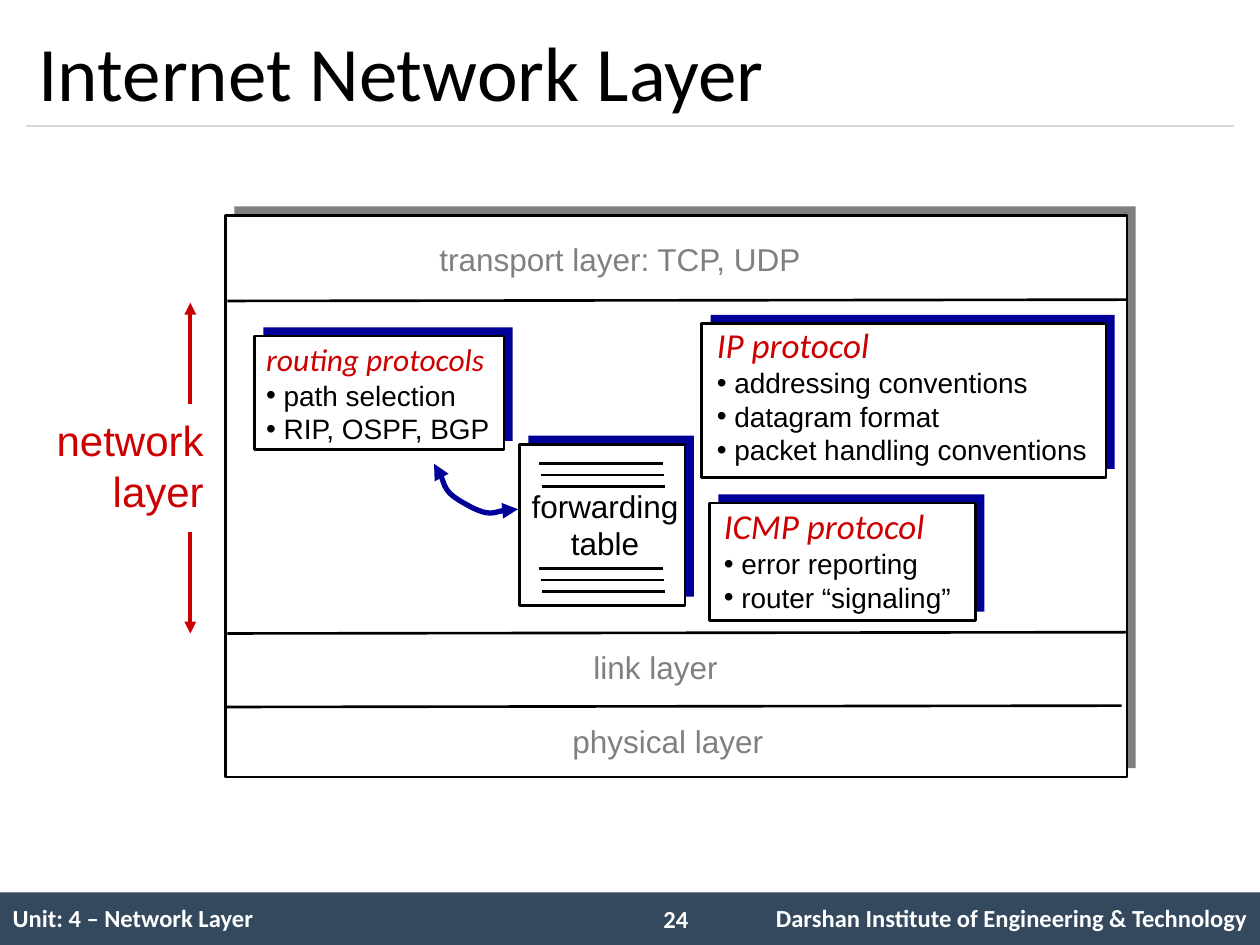
import pptx
import pptx.dml.color
import pptx.enum.shapes
import pptx.enum.text
import pptx.oxml
import pptx.oxml.ns
import pptx.util

Pt = pptx.util.Pt
RGBColor = pptx.dml.color.RGBColor
ALIGN = pptx.enum.text.PP_ALIGN
ANCHOR = pptx.enum.text.MSO_ANCHOR
qn = pptx.oxml.ns.qn

BLACK = RGBColor(0, 0, 0)
WHITE = RGBColor(0xFF, 0xFF, 0xFF)
GRAY = RGBColor(0x80, 0x80, 0x80)
RULE = RGBColor(0xD9, 0xD9, 0xD9)
SLATE = RGBColor(0x34, 0x49, 0x5E)
NAVY = RGBColor(0, 0, 0x99)
RED = RGBColor(0xCC, 0, 0)
NO_GRID_STYLE = "{2D5ABB26-0587-4C30-8999-92F81FD0307C}"


def add_element(parent, tag, **attributes):
    element = pptx.oxml.parse_xml(f"<{tag} {pptx.oxml.ns.nsdecls('a')}/>")
    for name, value in attributes.items():
        element.set(name, str(value))
    parent.append(element)
    return element


class LayerSlide:
    body_font = "Arial"
    heading_font = "Calibri"
    shadow_offset = 5

    def __init__(self, slide):
        self.slide = slide
        self.shapes = slide.shapes

    def style(self, paragraph, size, color, font, bold=False, italic=False):
        for run in paragraph.runs:
            run.font.size = Pt(size)
            run.font.color.rgb = color
            run.font.name = font
            run.font.bold = bold
            run.font.italic = italic

    def rectangle(self, left, top, width, height, fill, outlined=False):
        shape = self.shapes.add_shape(pptx.enum.shapes.MSO_SHAPE.RECTANGLE,
                                      Pt(left), Pt(top), Pt(width), Pt(height))
        shape.shadow.inherit = False
        shape.fill.solid()
        shape.fill.fore_color.rgb = fill
        if outlined:
            shape.line.color.rgb = BLACK
            shape.line.width = Pt(1.5)
        else:
            shape.line.fill.background()

    def panel(self, left, top, width, height, shade):
        self.rectangle(left + self.shadow_offset, top - self.shadow_offset,
                       width, height, shade)
        self.rectangle(left, top, width, height, WHITE, outlined=True)

    def line(self, start, end, color=BLACK, width=1.5, arrow=False):
        connector = self.shapes.add_connector(
            pptx.enum.shapes.MSO_CONNECTOR.STRAIGHT,
            *(Pt(value) for value in (*start, *end)))
        connector.line.color.rgb = color
        connector.line.width = Pt(width)
        if arrow:
            add_element(connector.line._get_or_add_ln(), "a:tailEnd", type="triangle")
        add_element(connector._element.spPr, "a:effectLst")

    def double_arrow_curve(self, points, color, width):
        builder = self.shapes.build_freeform(*points[0], scale=Pt(1))
        builder.add_line_segments(points[1:], close=False)
        shape = builder.convert_to_shape()
        shape.shadow.inherit = False
        shape.fill.background()
        shape.line.color.rgb = color
        shape.line.width = Pt(width)
        outline = shape.line._get_or_add_ln()
        add_element(outline, "a:headEnd", type="triangle")
        add_element(outline, "a:tailEnd", type="triangle")
        segments = list(shape._element.iter(qn("a:lnTo")))
        for first in range(0, len(segments), 3):
            curve = add_element(segments[first].getparent(), "a:cubicBezTo")
            for segment in segments[first:first + 3]:
                curve.append(segment[0])
                segment.getparent().remove(segment)

    def text(self, left, top, width, height, text, size, color=BLACK, font=None,
             align=ALIGN.LEFT, bold=False, wrap=False, anchor=ANCHOR.TOP):
        box = self.shapes.add_textbox(Pt(left), Pt(top), Pt(width), Pt(height))
        frame = box.text_frame
        frame.word_wrap = wrap
        frame.vertical_anchor = anchor
        frame.text = text
        for paragraph in frame.paragraphs:
            paragraph.alignment = align
            self.style(paragraph, size, color, font or self.body_font, bold)
        return frame

    def protocol_text(self, left, top, width, height, heading, size, items, wrap=False):
        frame = self.text(left, top, width, height, "\n".join([heading, *items]),
                          16, wrap=wrap)
        first, *bullets = frame.paragraphs
        self.style(first, size, RED, self.heading_font, italic=True)
        for paragraph in bullets:
            properties = paragraph._p.get_or_add_pPr()
            properties.set("marL", str(Pt(10)))
            properties.set("indent", str(-Pt(10)))
            add_element(properties, "a:buFont", typeface=self.body_font)
            add_element(properties, "a:buChar", char="•")

    def footer_table(self, left, top, widths, height, texts):
        table = self.shapes.add_table(1, len(widths), Pt(left), Pt(top),
                                      Pt(sum(widths)), Pt(height)).table
        table.first_row = table.horz_banding = False
        table._tbl.tblPr.find(qn("a:tableStyleId")).text = NO_GRID_STYLE
        for index, (width, (text, align)) in enumerate(zip(widths, texts)):
            table.columns[index].width = Pt(width)
            cell = table.cell(0, index)
            cell.fill.background()
            cell.vertical_anchor = ANCHOR.MIDDLE
            cell.text_frame.text = text
            paragraph = cell.text_frame.paragraphs[0]
            paragraph.alignment = align
            self.style(paragraph, 14, WHITE, self.heading_font, bold=True)


def main():
    presentation = pptx.Presentation()
    presentation.slide_width = Pt(720)
    presentation.slide_height = Pt(540)
    page = LayerSlide(presentation.slides.add_slide(presentation.slide_layouts[6]))

    page.rectangle(0, 510, 720, 30, SLATE)
    page.line((15, 72), (705, 72), RULE, 0.75)
    page.footer_table(0, 509.5, (366, 48, 306), 31, (
        ("Unit: 4 – Network Layer", ALIGN.LEFT),
        ("", ALIGN.LEFT),
        ("Darshan Institute of Engineering & Technology", ALIGN.RIGHT)))
    page.text(372, 513, 42, 24, "24", 14, WHITE, page.heading_font, bold=True, wrap=True)
    page.text(15, 8.5, 690, 63.5, "Internet Network Layer", 44, BLACK,
              page.heading_font, wrap=True, anchor=ANCHOR.MIDDLE)

    page.panel(129, 123, 515, 321, GRAY)
    for left, right, top in ((130, 644, 172), (130, 644, 362), (128.5, 641, 404)):
        page.line((left, top), (right, top - 0.75))
    for left, top, width, text in (
            (244, 133.5, 223, "transport layer: TCP, UDP"),
            (332, 367, 86, "link layer"),
            (320, 409, 124, "physical layer")):
        page.text(left, top, width, 29, text, 18, GRAY)

    page.panel(297, 254, 94.5, 92, NAVY)
    page.text(296.5, 274.5, 98.5, 50.5, "forwarding\ntable", 18, align=ALIGN.CENTER)
    for first_top in (265, 325):
        for index in range(3):
            left, top = 308.25 + 0.75 * index, first_top + 6.5 * index
            page.line((left, top), (left + 70.5, top))

    page.panel(145.5, 192, 142.5, 65, NAVY)
    page.protocol_text(145, 191, 146, 67.5, "routing protocols", 18,
                       ("path selection", "RIP, OSPF, BGP"))
    page.panel(401, 185, 231, 88, NAVY)
    page.protocol_text(402.5, 181.5, 226, 89, "IP protocol", 20,
                       ("addressing conventions", "datagram format",
                        "packet handling conventions"))
    page.panel(405.5, 287.5, 152, 67, NAVY)
    page.protocol_text(406.5, 285, 162, 70.5, "ICMP protocol", 20,
                       ("error reporting", "router “signaling”"), wrap=True)
    page.double_arrow_curve(
        ((247.5, 265), (251, 267), (253, 281), (266.5, 288),
         (280, 296), (291, 290), (296.5, 291)), NAVY, 3)

    page.text(25, 233.5, 98.5, 65, "network\nlayer", 24, RED, align=ALIGN.RIGHT)
    for start, end in ((231, 173), (304, 362)):
        page.line((108.75, start), (108.75, end), RED, 2.25, arrow=True)

    presentation.save("out.pptx")


if __name__ == "__main__":
    main()
